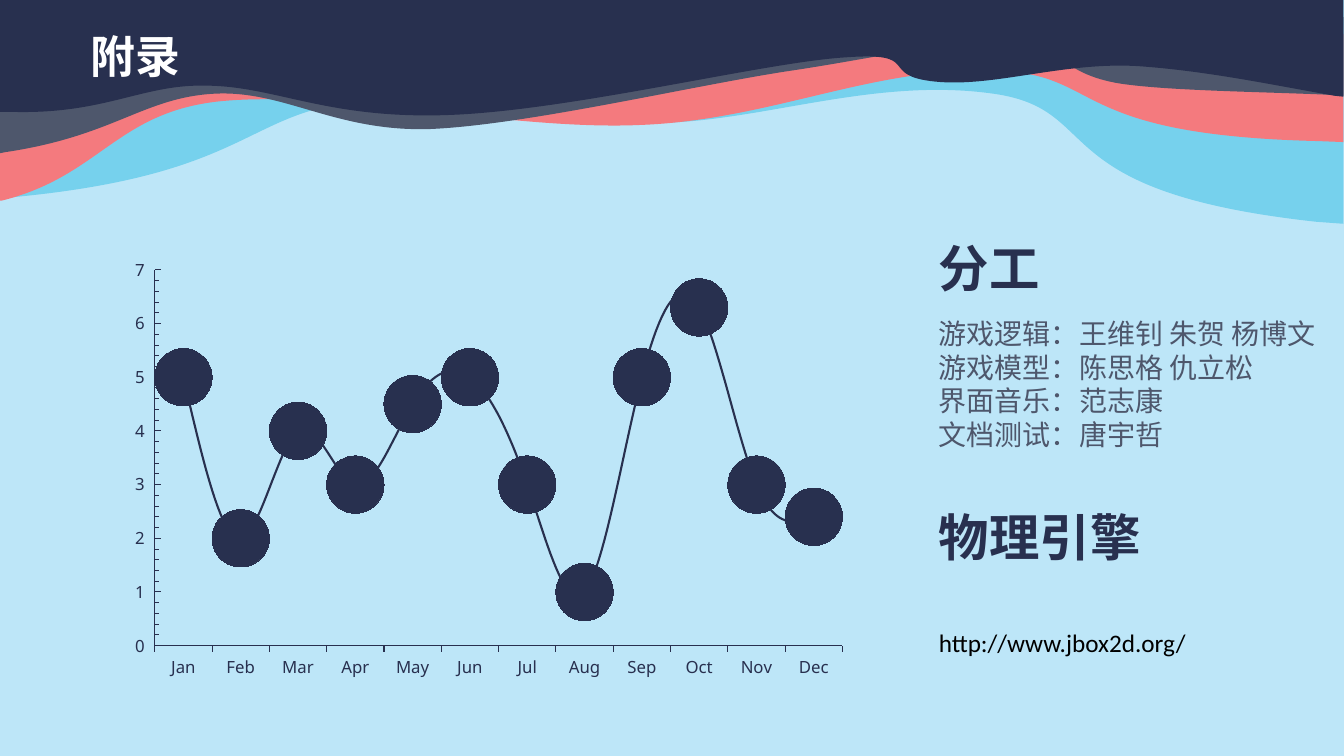
from lxml import etree
from pptx import Presentation
from pptx import util as u
from pptx.chart.data import CategoryChartData
from pptx.dml.color import RGBColor
from pptx.enum import chart as ch, text
from pptx.oxml import parse_xml
from pptx.oxml.ns import nsdecls, qn

NAVY = RGBColor(0x28, 0x30, 0x4F)
SLATE = RGBColor(0x4E, 0x57, 0x6C)
CORAL = RGBColor(0xF4, 0x7A, 0x7E)
SKY = RGBColor(0x76, 0xD1, 0xED)
PALE = RGBColor(0xBD, 0xE6, 0xF8)
WHITE = RGBColor(0xFF, 0xFF, 0xFF)
BLACK = RGBColor(0, 0, 0)
CJK = "Noto Sans CJK SC"

# Waves, back to front, on a grid of 0.0254 cm: a pair is a line, six numbers a Bezier curve
GRID = u.Cm(0.0254)
WAVES = [
    (SKY, [(3, 0), (1333, 0), (1333, 222), (1306, 220),
           (1031, 190, 1098, 109, 986, 93), (867, 76, 756, 121, 651, 122),
           (545, 124, 473, 88, 352, 101), (246, 113, 243, 171, 29, 194),
           (0, 197), (0, 15)]),
    (CORAL, [(3, 25), (1330, 25), (1333, 35), (1333, 141), (1308, 140),
             (1054, 134, 1097, 72, 984, 70), (863, 67, 765, 119, 636, 124),
             (508, 130, 327, 88, 214, 101), (115, 113, 98, 175, 2, 199),
             (0, 199), (0, 37)]),
    (SLATE, [(0, 152), (5, 151), (113, 135, 142, 97, 212, 93),
             (282, 89, 332, 131, 427, 128), (521, 124, 683, 86, 779, 71),
             (874, 57, 944, 39, 1000, 41), (1055, 43, 1049, 73, 1112, 83),
             (1159, 90, 1249, 91, 1318, 94), (1333, 95), (1333, 17), (0, 17)]),
    (NAVY, [(448, 114), (570, 109, 758, 62, 838, 57), (918, 51, 869, 75, 928, 81),
            (987, 87, 1058, 60, 1134, 66), (1200, 71, 1261, 84, 1324, 95),
            (1333, 96), (1333, 0), (0, 0), (0, 111), (10, 111),
            (105, 114, 141, 83, 206, 85), (275, 86, 326, 119, 448, 114)]),
]

# Paragraph: wording, size, font, colour, bold, space before (pt)
TITLE = ("附录", 32, CJK, WHITE, True, 0)
TEAM = ["游戏逻辑：王维钊 朱贺 杨博文", "游戏模型：陈思格 仇立松",
        "界面音乐：范志康", "文档测试：唐宇哲"]
COLUMN_LEFT = 23.41
# Top, width, height (cm), paragraphs
BOXES = [
    (7.85, 10.19, 4.52, [(line, 20, "Karla", SLATE, False, 0) for line in TEAM]),
    (5.86, 9.91, 1.8, [("分工", 36, CJK, NAVY, True, 0)]),
    (12.64, 8.97, 4.11, [("物理引擎", 36, CJK, NAVY, True, 0),
                         ("http://www.jbox2d.org/", 18, "Calibri", BLACK, False, 43)]),
]

MONTHS = ["Jan", "Feb", "Mar", "Apr", "May", "Jun",
          "Jul", "Aug", "Sep", "Oct", "Nov", "Dec"]
VALUES = [5, 2, 4, 3, 4.5, 5, 3, 1, 5, 6.3, 3, 2.4]
PLOT = {"x": 0.083, "y": 0.186, "w": 0.899, "h": 0.696}


def add_wave(slide, color, segments):
    """Draw one filled wave, bending the sides that have control points."""
    knots = [seg[-2:] for seg in segments]
    builder = slide.shapes.build_freeform(*knots[0], scale=float(GRID))
    builder.add_line_segments(knots[1:], close=True)
    sp = builder.convert_to_shape()
    left, top = (min(axis) for axis in zip(*knots))
    sides = list(sp._element.iter(qn("a:lnTo")))
    for side, seg in zip(sides, segments[1:]):
        if len(seg) == 6:
            curve = etree.Element(qn("a:cubicBezTo"))
            for x, y in zip(seg[::2], seg[1::2]):
                etree.SubElement(curve, qn("a:pt"), x=str(x - left), y=str(y - top))
            side.getparent().replace(side, curve)
    sp.shadow.inherit = False
    sp.fill.solid()
    sp.fill.fore_color.rgb = color
    sp.line.fill.background()


def write(tf, paragraphs):
    """Fill a text frame with formatted paragraphs."""
    tf.word_wrap = True
    for i, (words, size, font, color, bold, before) in enumerate(paragraphs):
        p = tf.add_paragraph() if i else tf.paragraphs[0]
        p.alignment = text.PP_ALIGN.LEFT
        p.space_before = u.Pt(before)
        r = p.add_run()
        r.text = words
        r.font.size, r.font.name, r.font.bold = u.Pt(size), font, bold
        r.font.color.rgb = color
        latin = r.font._element.find(qn("a:latin"))
        latin.addnext(parse_xml(f'<a:ea {nsdecls("a")} typeface="{CJK}"/>'))


def style_axis(axis, tick):
    """Format an axis line, its ticks and its labels."""
    axis.has_major_gridlines = False
    axis.major_tick_mark = tick
    axis.tick_labels.font.size = u.Pt(12)
    axis.tick_labels.font.name = "Noto Sans"
    axis.tick_labels.font.color.rgb = NAVY
    axis.format.line.color.rgb = NAVY
    axis.format.line.width = u.Pt(0.75)


def add_month_chart(slide):
    """Add the smoothed line chart with large round markers."""
    data = CategoryChartData()
    data.categories = MONTHS
    data.add_series("Series 1", VALUES)
    chart = slide.shapes.add_chart(ch.XL_CHART_TYPE.LINE_MARKERS_STACKED, u.Cm(2.3),
                                   u.Cm(4.27), u.Cm(19.28), u.Cm(13.61), data).chart
    chart.has_legend = chart.has_title = False
    chart.font.size, chart.font.name = u.Pt(18), "Calibri"
    chart.font.color.rgb = BLACK
    chart.plots[0].vary_by_categories = False
    style_axis(chart.category_axis, ch.XL_TICK_MARK.OUTSIDE)
    values = chart.value_axis
    style_axis(values, ch.XL_TICK_MARK.INSIDE)
    values.minor_tick_mark = ch.XL_TICK_MARK.INSIDE
    values.minimum_scale, values.maximum_scale = 0, 7
    values.major_unit, values.minor_unit = 1, 0.2
    values.tick_label_position = ch.XL_TICK_LABEL_POSITION.LOW
    series = chart.plots[0].series[0]
    series.smooth = True
    series.format.line.color.rgb = NAVY
    series.format.line.width = u.Pt(1.5)
    series.marker.style = ch.XL_MARKER_STYLE.CIRCLE
    series.marker.size = 41
    series.marker.format.fill.solid()
    series.marker.format.fill.fore_color.rgb = NAVY
    series.marker.format.line.fill.background()

    area = chart._chartSpace.chart.plotArea
    for old in area.findall(qn("c:layout")):
        area.remove(old)
    layout = etree.Element(qn("c:layout"))
    manual = etree.SubElement(layout, qn("c:manualLayout"))
    settings = {"layoutTarget": "inner", "xMode": "edge", "yMode": "edge", **PLOT}
    for name, value in settings.items():
        etree.SubElement(manual, qn("c:" + name)).set("val", str(value))
    area.insert(0, layout)


prs = Presentation()
prs.slide_width, prs.slide_height = u.Cm(33.87), u.Cm(19.05)
slide = prs.slides.add_slide(prs.slide_layouts[5])
slide.background.fill.solid()
slide.background.fill.fore_color.rgb = PALE

for color, segments in WAVES:
    add_wave(slide, color, segments)

title = slide.shapes.title
slide.shapes._spTree.append(title._element)
title.left, title.top, title.width, title.height = map(u.Cm, (2.03, 0.58, 14.91, 1.63))
write(title.text_frame, [TITLE])

add_month_chart(slide)
for top, width, height, paragraphs in BOXES:
    box = slide.shapes.add_textbox(*map(u.Cm, (COLUMN_LEFT, top, width, height)))
    write(box.text_frame, paragraphs)

prs.save("out.pptx")
